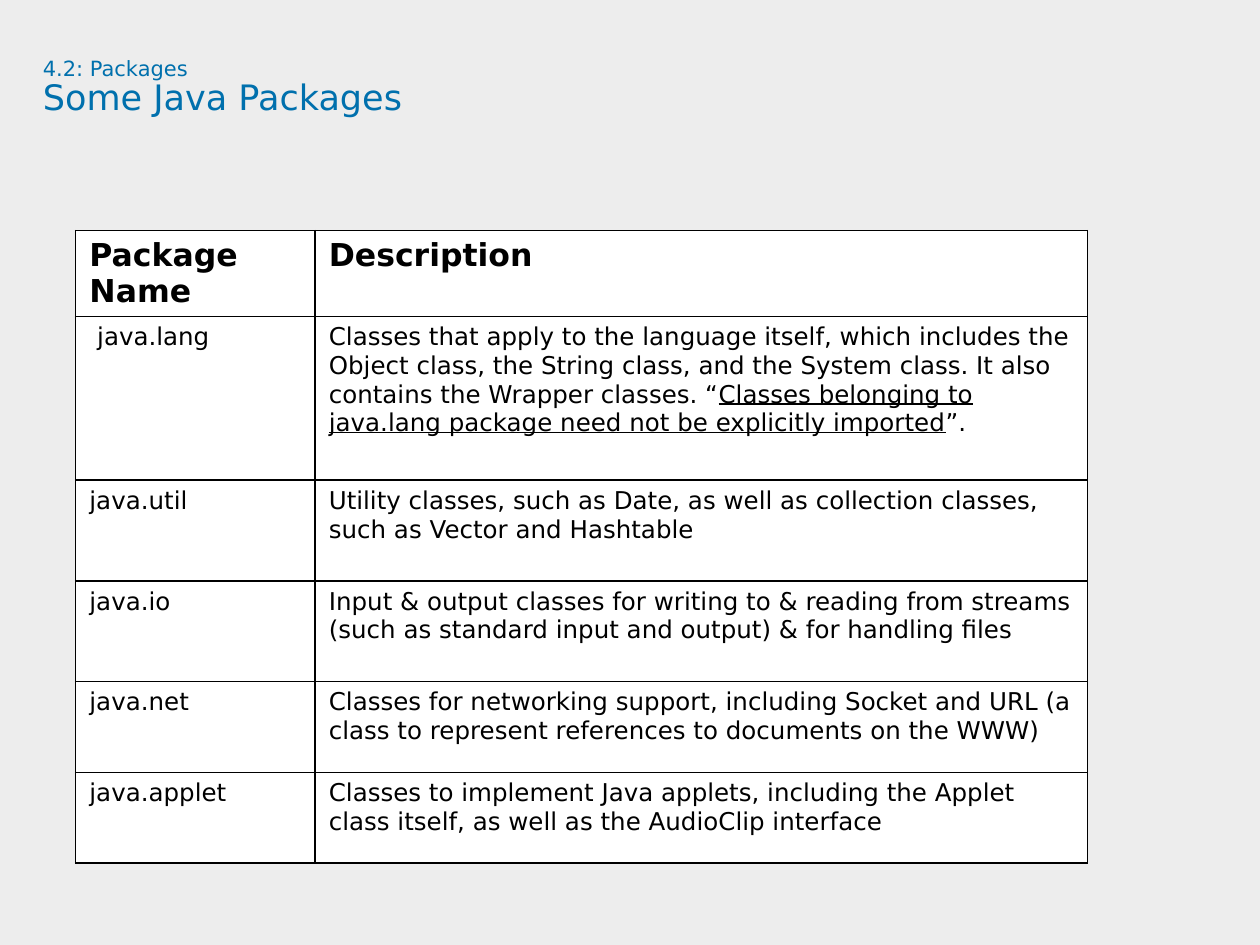
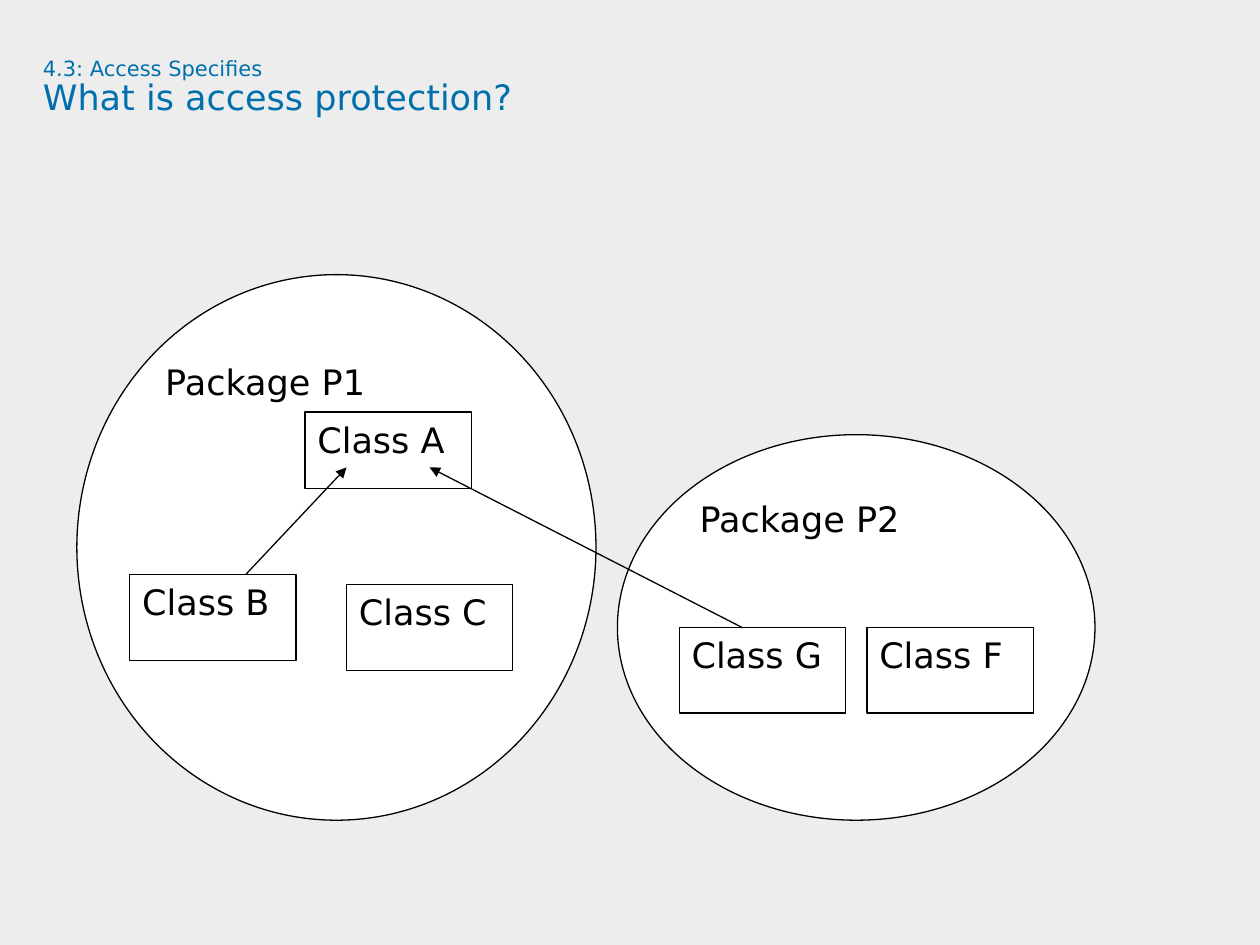
"""Build two slides on Java packages and access protection."""
from lxml.etree import SubElement
from pptx import Presentation
from pptx.dml.color import RGBColor
from pptx.enum.shapes import MSO_CONNECTOR, MSO_SHAPE
from pptx.enum.text import MSO_ANCHOR, MSO_AUTO_SIZE, PP_ALIGN
from pptx.oxml.ns import qn
from pptx.util import Inches, Pt

GRAY = RGBColor(0xED, 0xED, 0xED)
BLUE = RGBColor(0x00, 0x70, 0xAD)
BLACK = RGBColor(0, 0, 0)
WHITE = RGBColor(0xFF, 0xFF, 0xFF)
FACE = "DejaVu Sans"
SMALL = {"name": FACE, "size": Pt(12)}
LARGE = {"name": FACE, "size": Pt(20)}
HEAD = {"name": FACE, "size": Pt(18), "bold": True}
CELL = {"name": FACE, "size": Pt(14), "bold": False}
LINK = CELL | {"underline": True}


def write(para, text, style, color=BLACK):
    run = para.add_run()
    run.text = text
    for key, val in style.items():
        setattr(run.font, key, val)
    run.font.color.rgb = color


def start(topic, name):
    slide = deck.slides.add_slide(deck.slide_layouts[5])
    title = slide.shapes.title
    title.left, title.top, title.width, title.height = map(Inches, (0.34, 0.46, 9.09, 0.94))
    frame = title.text_frame
    form = {"margin_left": 0, "margin_top": 0, "margin_right": 0, "margin_bottom": 0,
            "vertical_anchor": MSO_ANCHOR.TOP, "auto_size": MSO_AUTO_SIZE.NONE, "word_wrap": True}
    for key, val in form.items():
        setattr(frame, key, val)
    para = frame.paragraphs[0]
    para.alignment = PP_ALIGN.LEFT
    para.line_spacing = 0.9
    write(para, topic, SMALL, BLUE)
    para.add_line_break()
    write(para, name, LARGE, BLUE)
    return slide.shapes


deck = Presentation()
deck.slide_width, deck.slide_height = Inches(10), Inches(7.5)
back = deck.slide_master.background.fill
back.solid()
back.fore_color.rgb = GRAY

shapes = start("4.2: Packages ", "Some Java Packages")
rows = [
    (0.63, "Package Name", ["Description"]),
    (1.3, " java.lang", [
        "Classes that apply to the language itself, which includes the Object class, the String class, "
        "and the System class. It also contains the Wrapper classes. “",
        "Classes belonging to java.lang package need not be explicitly imported", "”."]),
    (0.8, "java.util", ["Utility classes, such as Date, as well as collection classes, "
                        "such as Vector and Hashtable"]),
    (0.8, "java.io", ["Input & output classes for writing to & reading from streams "
                      "(such as standard input and output) & for handling files"]),
    (0.72, "java.net", ["Classes for networking support, including Socket and URL "
                        "(a class to represent references to documents on the WWW)"]),
    (0.72, "java.applet", ["Classes to implement Java applets, including the Applet class itself, "
                           "as well as the AudioClip interface"]),
]
high = sum(row[0] for row in rows)
grid = shapes.add_table(len(rows), 2, Inches(0.6), Inches(1.83), Inches(8.03), Inches(high)).table
grid.first_row = grid.horz_banding = False
for col, wide in zip(grid.columns, (1.9, 6.13)):
    col.width = Inches(wide)
for num, (tall, name, parts) in enumerate(rows):
    grid.rows[num].height = Inches(tall)
    for cell, texts in zip(grid.rows[num].cells, ([name], parts)):
        cell.margin_left = cell.margin_right = Inches(0.11)
        para = cell.text_frame.paragraphs[0]
        for text, style in zip(texts, (CELL if num else HEAD, LINK, CELL)):
            write(para, text, style)
        props = cell._tc.get_or_add_tcPr()
        for side in ("lnL", "lnR", "lnT", "lnB"):
            edge = SubElement(props, qn(f"a:{side}"), w=str(Pt(1)))
            fill = SubElement(edge, qn("a:solidFill"))
            SubElement(fill, qn("a:srgbClr"), val=str(BLACK))
        cell.fill.solid()
        cell.fill.fore_color.rgb = WHITE

shapes = start("4.3: Access Specifies ", "What is access protection?")
OVAL, RECT = MSO_SHAPE.OVAL, MSO_SHAPE.RECTANGLE
nodes = [
    ("Package P2", OVAL, 4.9, 3.45, 3.79, 3.06),
    ("Package P1", OVAL, 0.61, 2.18, 4.12, 4.33),
    ("Class A", RECT, 2.42, 3.27, 1.32, 0.61),
    ("Class C", RECT, 2.75, 4.64, 1.32, 0.68),
    ("Class B", RECT, 1.03, 4.56, 1.32, 0.68),
    ("Class F", RECT, 6.88, 4.98, 1.32, 0.68),
    ("Class G", RECT, 5.39, 4.98, 1.32, 0.68),
]
for name, kind, *box in nodes:
    node = shapes.add_shape(kind, *map(Inches, box))
    node.shadow.inherit = False
    node.fill.solid()
    node.fill.fore_color.rgb = WHITE
    node.line.color.rgb = BLACK
    node.line.width = Pt(0.75)
    frame = node.text_frame
    frame.word_wrap = True
    frame.vertical_anchor = MSO_ANCHOR.TOP
    para = frame.paragraphs[0]
    para.alignment = PP_ALIGN.JUSTIFY if name == "Class A" else PP_ALIGN.LEFT
    write(para, name, LARGE)

for ends in ((1.95, 4.56, 2.75, 3.71), (5.89, 4.98, 3.41, 3.71)):
    arrow = shapes.add_connector(MSO_CONNECTOR.STRAIGHT, *map(Inches, ends))
    arrow.line.color.rgb = BLACK
    arrow.line.width = Pt(0.75)
    SubElement(arrow.line._get_or_add_ln(), qn("a:tailEnd"), type="triangle")
    SubElement(arrow._element.spPr, qn("a:effectLst"))

deck.save("out.pptx")
